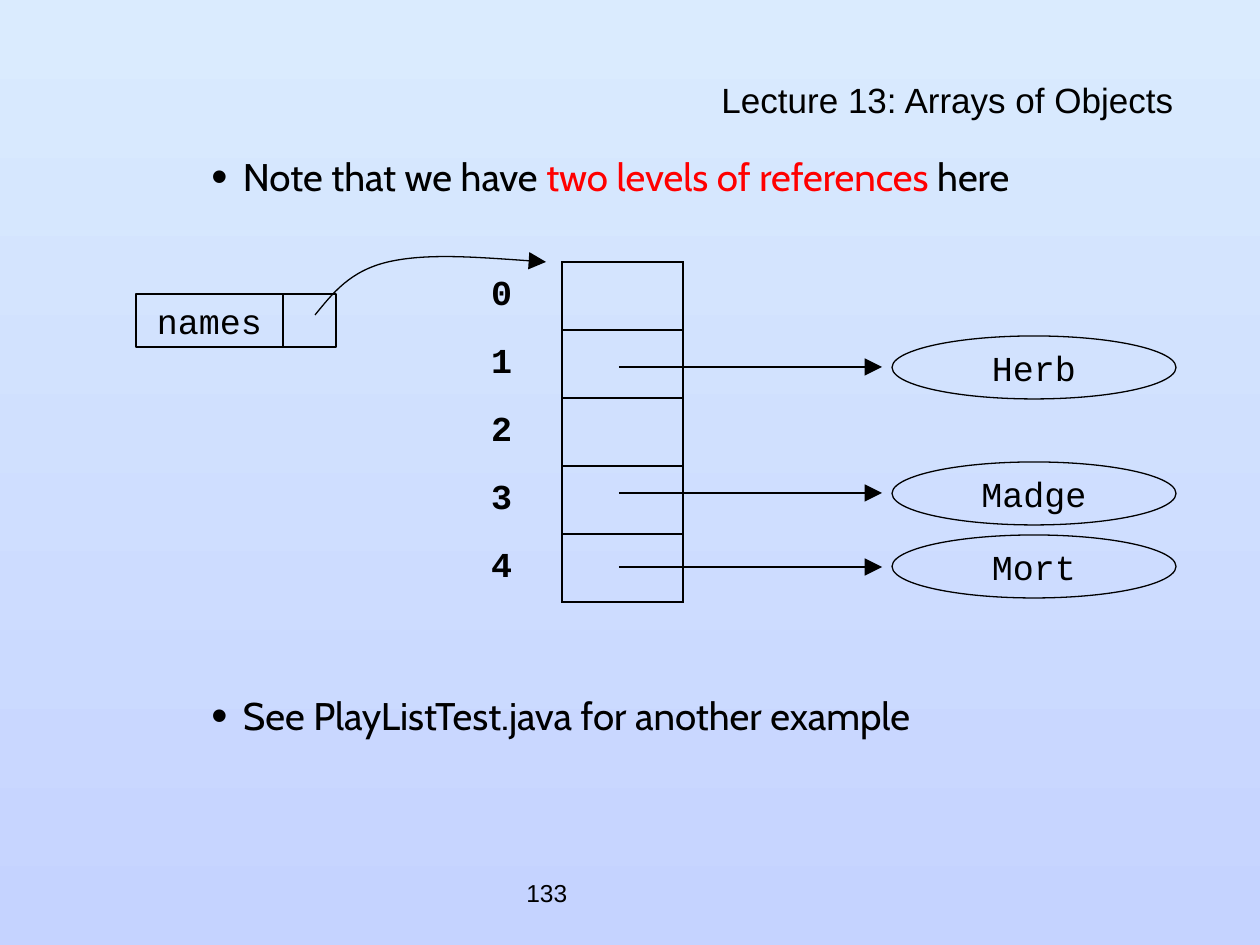
import dataclasses
import typing

import lxml.etree
import pptx
import pptx.dml.color
import pptx.enum.shapes
import pptx.enum.text
import pptx.oxml
import pptx.oxml.ns
import pptx.util

BLACK = pptx.dml.color.RGBColor(0x00, 0x00, 0x00)
RED = pptx.dml.color.RGBColor(0xFF, 0x00, 0x00)
SKY_TOP = pptx.dml.color.RGBColor(0xDA, 0xEB, 0xFE)
SKY_BOTTOM = pptx.dml.color.RGBColor(0xC5, 0xD3, 0xFF)
EMU_PER_PX = 914400 / 126
SHAPES = pptx.enum.shapes.MSO_SHAPE
ALIGN = pptx.enum.text.PP_ALIGN
MIDDLE = pptx.enum.text.MSO_ANCHOR.MIDDLE
ROW_HEIGHT = 68
COLUMN_WIDTH = 121
qn = pptx.oxml.ns.qn


@dataclasses.dataclass(frozen=True)
class Area:
    left: int
    top: int
    width: int
    height: int

    def emu(self) -> tuple[int, ...]:
        return tuple(px(length) for length in dataclasses.astuple(self))


@dataclasses.dataclass(frozen=True)
class Words:
    text: str
    font: str
    size: int
    color: pptx.dml.color.RGBColor = BLACK
    bold: bool = False


@dataclasses.dataclass(frozen=True)
class Node:
    kind: int
    area: Area
    label: str = ""


@dataclasses.dataclass(frozen=True)
class Bullet:
    top: int
    words: tuple[Words, ...]


NODES = (
    Node(SHAPES.RECTANGLE, Area(136, 294, 147, 53), "names"),
    Node(SHAPES.RECTANGLE, Area(283, 294, 53, 53)),
    Node(SHAPES.OVAL, Area(892, 336, 284, 63), "Herb"),
    Node(SHAPES.OVAL, Area(892, 462, 284, 63), "Madge"),
    Node(SHAPES.OVAL, Area(892, 535, 284, 63), "Mort"),
)
BULLETS = (
    Bullet(147, (
        Words("Note that we have ", "Cabin", 22),
        Words("two levels of references", "Cabin", 22, RED),
        Words(" here", "Cabin", 22),
    )),
    Bullet(686, (Words("See PlayListTest.java for another example", "Cabin", 22),)),
)
ARROW_HEIGHTS = (367, 493, 567)
CURVE = ((315, 315), (333, 293), (350, 271), (388, 262), (427, 253), (486, 258), (546, 262))


def px(length: int) -> int:
    return round(length * EMU_PER_PX)


def add_words(para: typing.Any, words: Words) -> None:
    span = para.add_run()
    span.text = words.text
    span.font.name = words.font
    span.font.size = pptx.util.Pt(words.size)
    span.font.color.rgb = words.color
    span.font.bold = words.bold


def add_text(page: typing.Any, area: Area, words: tuple[Words, ...]) -> typing.Any:
    frame = page.shapes.add_textbox(*area.emu()).text_frame
    frame.word_wrap = True
    para = frame.paragraphs[0]
    for part in words:
        add_words(para, part)
    return frame


def add_bullet(page: typing.Any, bullet: Bullet) -> None:
    para = add_text(page, Area(73, bullet.top, 1113, 60), bullet.words).paragraphs[0]
    properties = para._p.get_or_add_pPr()
    properties.set("marL", str(pptx.util.Inches(1.25)))
    properties.set("indent", str(pptx.util.Inches(-0.25)))
    color = lxml.etree.SubElement(properties, qn("a:buClr"))
    lxml.etree.SubElement(color, qn("a:srgbClr"), val=str(BLACK))
    lxml.etree.SubElement(properties, qn("a:buSzPct"), val="120000")
    lxml.etree.SubElement(properties, qn("a:buFont"), typeface="Arial")
    lxml.etree.SubElement(properties, qn("a:buChar"), char="•")


def set_line(shape: typing.Any, arrow: bool = False) -> None:
    shape.line.color.rgb = BLACK
    shape.line.width = pptx.util.Pt(0.75)
    if arrow:
        outline = shape.line._get_or_add_ln()
        lxml.etree.SubElement(outline, qn("a:tailEnd"), type="triangle", w="lg", len="lg")


def add_node(page: typing.Any, node: Node) -> None:
    shape = page.shapes.add_shape(node.kind, *node.area.emu())
    shape.shadow.inherit = False
    shape.fill.background()
    set_line(shape)
    if node.label:
        frame = shape.text_frame
        frame.word_wrap = False
        frame.vertical_anchor = MIDDLE
        para = frame.paragraphs[0]
        para.alignment = ALIGN.CENTER
        add_words(para, Words(node.label, "Courier New", 20))


def add_arrow(page: typing.Any, height: int) -> None:
    arrow = page.shapes.add_connector(
        pptx.enum.shapes.MSO_CONNECTOR.STRAIGHT, px(619), px(height), px(882), px(height))
    set_line(arrow, arrow=True)
    lxml.etree.SubElement(arrow._element.spPr, qn("a:effectLst"))


def add_curve(page: typing.Any) -> None:
    builder = page.shapes.build_freeform(*CURVE[0], scale=EMU_PER_PX)
    builder.add_line_segments(CURVE[1:], close=False)
    curve = builder.convert_to_shape()
    outline = next(curve._element.iter(qn("a:path")))
    segments = outline.findall(qn("a:lnTo"))
    for start in range(0, len(segments), 3):
        bend = lxml.etree.SubElement(outline, qn("a:cubicBezTo"))
        for segment in segments[start:start + 3]:
            bend.append(segment[0])
            outline.remove(segment)
    curve.shadow.inherit = False
    curve.fill.background()
    set_line(curve, arrow=True)


def set_borders(cell: typing.Any, drawn: tuple[str, ...]) -> None:
    properties = cell._tc.get_or_add_tcPr()
    for index, side in enumerate(("lnL", "lnR", "lnT", "lnB")):
        border = pptx.oxml.parse_xml(
            f'<a:{side} {pptx.oxml.ns.nsdecls("a")} w="{pptx.util.Pt(1)}"/>')
        if side in drawn:
            fill = lxml.etree.SubElement(border, qn("a:solidFill"))
            lxml.etree.SubElement(fill, qn("a:srgbClr"), val=str(BLACK))
        else:
            lxml.etree.SubElement(border, qn("a:noFill"))
        properties.insert(index, border)


def add_array(page: typing.Any, length: int) -> None:
    area = Area(441, 262, 2 * COLUMN_WIDTH, length * ROW_HEIGHT)
    table = page.shapes.add_table(length, 2, *area.emu()).table
    table.first_row = False
    table.horz_banding = False
    for index in range(length):
        table.rows[index].height = px(ROW_HEIGHT)
        label, slot = table.cell(index, 0), table.cell(index, 1)
        for cell, drawn in ((label, ("lnR",)), (slot, ("lnL", "lnR", "lnT", "lnB"))):
            cell.fill.background()
            set_borders(cell, drawn)
        label.vertical_anchor = MIDDLE
        para = label.text_frame.paragraphs[0]
        para.alignment = ALIGN.CENTER
        add_words(para, Words(str(index), "Courier New", 20, bold=True))


def main() -> None:
    deck = pptx.Presentation()
    deck.slide_width, deck.slide_height = px(1260), px(945)
    page = deck.slides.add_slide(deck.slide_layouts[6])
    fill = page.background.fill
    fill.gradient()
    fill.gradient_angle = 270
    for stop, color in zip(fill.gradient_stops, (SKY_TOP, SKY_BOTTOM)):
        stop.color.rgb = color

    number = add_text(page, Area(514, 861, 262, 63), (Words("133", "Arial", 14),))
    number.vertical_anchor = MIDDLE
    title = add_text(page, Area(73, 84, 1113, 42),
                     (Words("Lecture 13: Arrays of Objects", "Arial", 20),))
    title.vertical_anchor = MIDDLE
    title.paragraphs[0].alignment = ALIGN.RIGHT
    title.paragraphs[0].line_spacing = 0.7
    for bullet in BULLETS:
        add_bullet(page, bullet)
    add_array(page, 5)
    for node in NODES:
        add_node(page, node)
    add_curve(page)
    for height in ARROW_HEIGHTS:
        add_arrow(page, height)
    deck.save("out.pptx")


if __name__ == "__main__":
    main()
